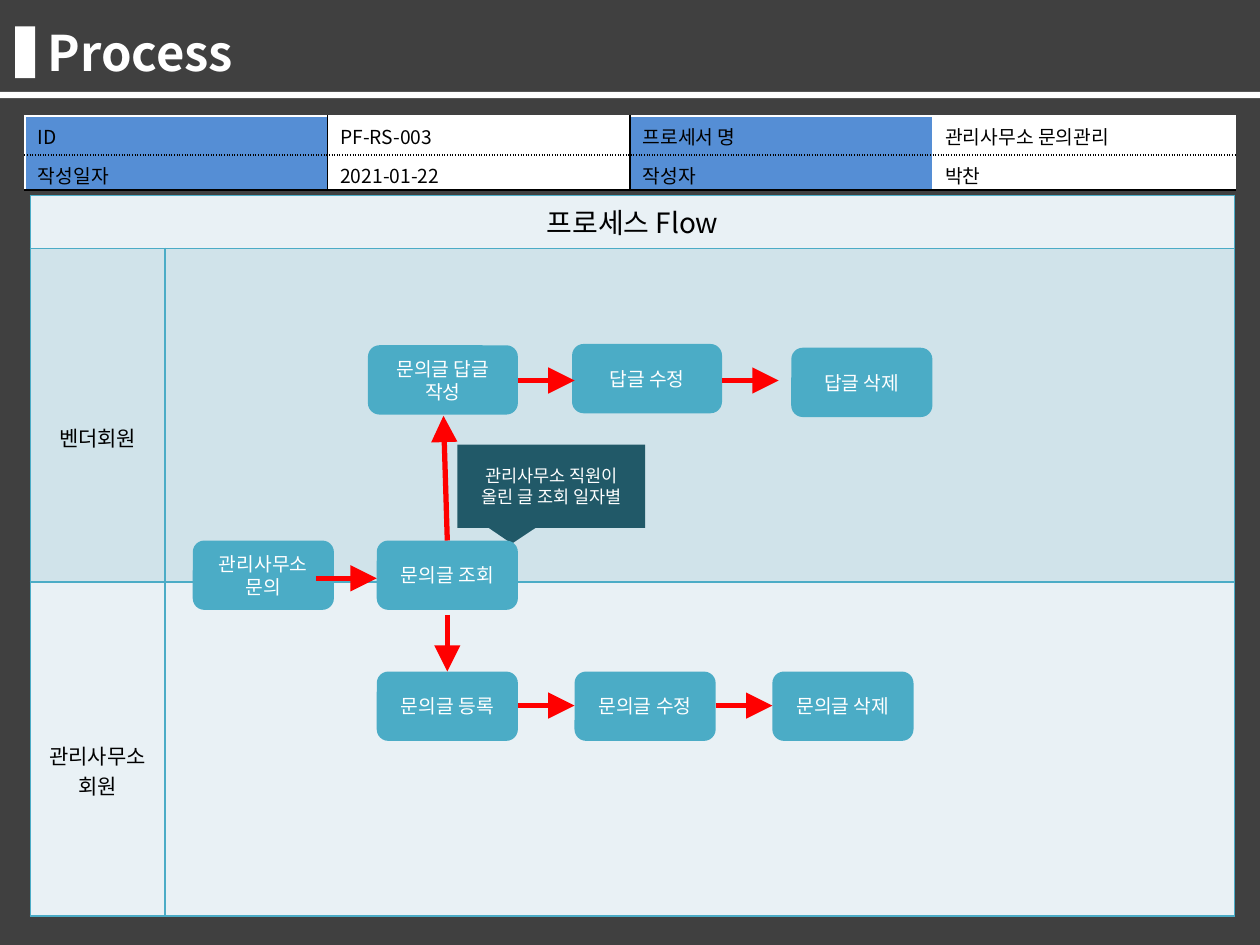
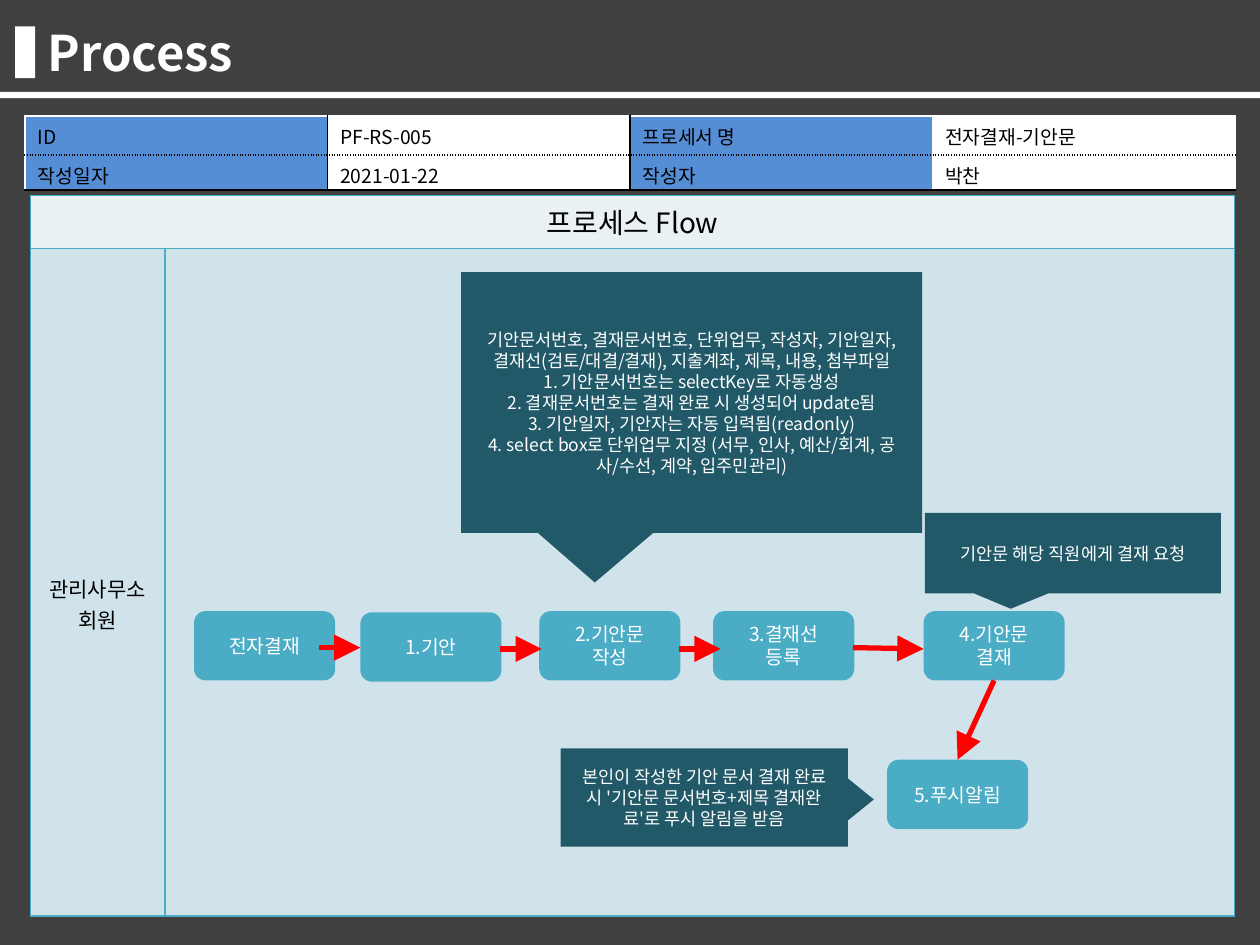
"""Build two process flow slides with a shared header, info table and swimlanes."""
import pptx
import pptx.dml.color
import pptx.enum.dml
import pptx.enum.shapes
import pptx.enum.text
import pptx.oxml.ns
import pptx.util
from lxml import etree

Inches, Pt = pptx.util.Inches, pptx.util.Pt
SHAPE = pptx.enum.shapes.MSO_SHAPE
ALIGN = pptx.enum.text.PP_ALIGN
ANCHOR = pptx.enum.text.MSO_ANCHOR
qn = pptx.oxml.ns.qn

FONT = "Noto Sans CJK KR"
WHITE, BLACK, DARK, BLUE = "FFFFFF", "000000", "404040", "558ED5"
TEAL, DEEP, RED = "4BACC6", "215968", "FF0000"
PALE, MIST = "E9F1F5", "D0E3EA"
BOX_W, BOX_H = 1.12, 0.55
LANES_H = 5.3
STEP = 1.57

SLIDES = [
    {
        "id": "PF-RS-003",
        "name": "관리사무소 문의관리",
        "lanes": [("벤더회원", MIST, 1.38), ("관리사무소 회원", PALE, 1.25)],
        "boxes": [
            ("관리사무소 문의", 1.53, 4.29, BOX_W),
            ("문의글 조회", 2.99, 4.29, BOX_W),
            ("문의글 답글 작성", 2.92, 2.74, 1.19),
            ("답글 수정", 4.54, 2.73, 1.19),
            ("답글 삭제", 6.28, 2.76, BOX_W),
        ] + [(text, 2.99 + STEP * i, 5.33, BOX_W)
             for i, text in enumerate(["문의글 등록", "문의글 수정", "문의글 삭제"])],
        "callouts": [("관리사무소 직원이 올린 글 조회 일자별", 3.63, 3.53, 1.49, 0.66)],
        "notes": [],
        "arrows": [
            (2.51, 4.59, 2.99, 4.59),
            (3.55, 4.88, 3.55, 5.33),
            (3.55, 4.29, 3.52, 3.3),
        ] + [(x, y, x + 0.45, y)
             for x, y in [(4.11, 5.6), (4.11 + STEP, 5.6), (4.11, 3.02), (5.73, 3.02)]],
    },
    {
        "id": "PF-RS-005",
        "name": "전자결재-기안문",
        "lanes": [("관리사무소 회원", MIST, 2.58)],
        "boxes": [
            ("전자결재", 1.54, 4.85, BOX_W),
            ("1.기안", 2.86, 4.86, BOX_W),
            ("2.기안문\n작성", 4.28, 4.85, BOX_W),
            ("3.결재선\n등록", 5.66, 4.85, BOX_W),
            ("4.기안문\n결재", 7.33, 4.85, BOX_W),
            ("5.푸시알림", 7.04, 6.03, BOX_W),
        ],
        "callouts": [
            ("기안문서번호, 결재문서번호, 단위업무, 작성자, 기안일자, "
             "결재선(검토/대결/결재), 지출계좌, 제목, 내용, 첨부파일\n"
             "1. 기안문서번호는 selectKey로 자동생성\n"
             "2. 결재문서번호는 결재 완료 시 생성되어 update됨\n"
             "3. 기안일자, 기안자는 자동 입력됨(readonly)\n"
             "4. select box로 단위업무 지정 (서무, 인사, 예산/회계, 공사/수선, 계약, 입주민관리)",
             3.66, 2.16, 3.66, 2.07),
            ("기안문 해당 직원에게 결재 요청", 7.34, 4.07, 2.35, 0.64),
        ],
        "notes": [("본인이 작성한 기안 문서 결재 완료 시 '기안문 문서번호+제목 결재완료'로 "
                   "푸시 알림을 받음", 4.45, 5.94, 2.28, 0.78)],
        "arrows": [(x, y, x + 0.33, y) for x, y in [(2.53, 5.14), (3.97, 5.15), (5.39, 5.15)]]
        + [(6.77, 5.14, 7.33, 5.15), (7.89, 5.4, 7.6, 6.03)],
    },
]


def rgb(color):
    """Turn a hex string into a colour."""
    return pptx.dml.color.RGBColor.from_string(color)


def put(tf, text, size=11, color=BLACK, bold=False, align=ALIGN.LEFT):
    """Write text into a frame, one paragraph per line."""
    for i, line in enumerate(text.split("\n")):
        p = tf.paragraphs[0] if i == 0 else tf.add_paragraph()
        p.alignment = align
        r = p.add_run()
        r.text = line
        r.font.name, r.font.size, r.font.bold = FONT, Pt(size), bold
        r.font.color.rgb = rgb(color)
        etree.SubElement(r.font._element, qn("a:ea"), typeface=FONT)


def add_shape(s, kind, x, y, w, h, fill, text="", size=11):
    """Add a flat shape with optional centred white text."""
    sp = s.shapes.add_shape(kind, Inches(x), Inches(y), Inches(w), Inches(h))
    sp.shadow.inherit = False
    sp.fill.solid()
    sp.fill.fore_color.rgb = rgb(fill)
    sp.line.fill.background()
    if text:
        tf = sp.text_frame
        tf.word_wrap = True
        tf.vertical_anchor = ANCHOR.MIDDLE
        put(tf, text, size=size, color=WHITE, align=ALIGN.CENTER)
    return sp


def add_arrow(s, x1, y1, x2, y2):
    """Add a red arrow between two points."""
    line = s.shapes.add_connector(pptx.enum.shapes.MSO_CONNECTOR.STRAIGHT,
                                  Inches(x1), Inches(y1), Inches(x2), Inches(y2))
    line.line.color.rgb = rgb(RED)
    line.line.width = Pt(3)
    etree.SubElement(line.line._get_or_add_ln(), qn("a:tailEnd"), type="triangle", w="lg", len="lg")
    etree.SubElement(line._element.spPr, qn("a:effectLst"))


def style_cell(cell, fill, edges):
    """Give a cell its left, right, top and bottom lines and its fill."""
    tc_pr = cell._tc.get_or_add_tcPr()
    for side, (color, dash) in zip("LRTB", edges):
        ln = etree.SubElement(tc_pr, qn(f"a:ln{side}"), w=str(Pt(1)))
        solid = etree.SubElement(ln, qn("a:solidFill"))
        etree.SubElement(solid, qn("a:srgbClr"), val=color)
        etree.SubElement(ln, qn("a:prstDash"), val=dash)
    cell.fill.solid()
    cell.fill.fore_color.rgb = rgb(fill)


def add_table(s, x, y, widths, heights):
    """Add a table with the given column widths and row heights."""
    table = s.shapes.add_table(len(heights), len(widths), Inches(x), Inches(y),
                               Inches(sum(widths)), Inches(sum(heights))).table
    for column, w in zip(table.columns, widths):
        column.width = Inches(w)
    for row, h in zip(table.rows, heights):
        row.height = Inches(h)
    return table


def add_lanes(s, lanes):
    """Add the swimlane table under its heading."""
    table = add_table(s, 0.24, 1.55, [1.07, 8.49], [0.42] + [LANES_H / len(lanes)] * len(lanes))
    rows = [("프로세스 Flow", PALE, 0.05)] + lanes
    for i, (text, fill, top) in enumerate(rows):
        for j in range(2):
            style_cell(table.cell(i, j), fill, [(TEAL, "solid")] * 4)
        cell = table.cell(i, 0)
        cell.margin_top = Inches(top)
        put(cell.text_frame, text, size=12 if i else 16, align=ALIGN.CENTER)
    table.cell(0, 0).merge(table.cell(0, 1))


def add_info(s, process_id, name):
    """Add the table that identifies the process."""
    rows = [["ID", process_id, "프로세서 명", name], ["작성일자", "2021-01-22", "작성자", "박찬"]]
    white, black, dotted = (WHITE, "solid"), (BLACK, "solid"), (BLACK, "sysDot")
    across = [white, black, black, white, white]
    down = [white, dotted, black]
    table = add_table(s, 0.2, 0.92, [2.4] * 4, [0.31, 0.28])
    for i, row in enumerate(rows):
        for j, text in enumerate(row):
            cell = table.cell(i, j)
            cell.margin_bottom = 0
            style_cell(cell, WHITE if j % 2 else BLUE,
                       [across[j], across[j + 1], down[i], down[i + 1]])
            put(cell.text_frame, text)


def add_header(s):
    """Set the background, title and white bands."""
    s.background.fill.solid()
    s.background.fill.fore_color.rgb = rgb(DARK)
    title = s.shapes.title
    title.left, title.top, title.width, title.height = map(Inches, (0.28, 0.13, 8.98, 0.57))
    title.text_frame.auto_size = pptx.enum.text.MSO_AUTO_SIZE.NONE
    title.text_frame.vertical_anchor = ANCHOR.MIDDLE
    put(title.text_frame, "Process", size=28, color=WHITE, bold=True)
    add_shape(s, SHAPE.RECTANGLE, 0.12, 0.21, 0.16, 0.41, WHITE)
    add_shape(s, SHAPE.RECTANGLE, 0, 0.73, 10, 0.05, WHITE)


def add_slide(prs, data):
    """Build one process slide."""
    s = prs.slides.add_slide(prs.slide_layouts[5])
    add_header(s)
    add_lanes(s, data["lanes"])
    add_info(s, data["id"], data["name"])
    for text, x, y, w, h in data["callouts"]:
        sp = add_shape(s, SHAPE.RECTANGULAR_CALLOUT, x, y, w, h, DEEP, text, size=10)
        sp.adjustments[0], sp.adjustments[1] = -0.21, 0.69
    for text, x, y, w in data["boxes"]:
        add_shape(s, SHAPE.ROUNDED_RECTANGLE, x, y, w, BOX_H, TEAL, text)
    for points in data["arrows"]:
        add_arrow(s, *points)
    for text, x, y, w, h in data["notes"]:
        add_shape(s, SHAPE.RECTANGLE, x, y, w, h, DEEP, text, size=10)
        pointer = add_shape(s, SHAPE.ISOSCELES_TRIANGLE, x + w - 0.07, y + 0.3, 0.34, 0.21, DEEP)
        pointer.rotation = 90


def main():
    """Create and save the presentation."""
    prs = pptx.Presentation()
    prs.slide_width, prs.slide_height = Inches(10), Inches(7.5)
    for data in SLIDES:
        add_slide(prs, data)
    prs.save("out.pptx")


if __name__ == "__main__":
    main()
